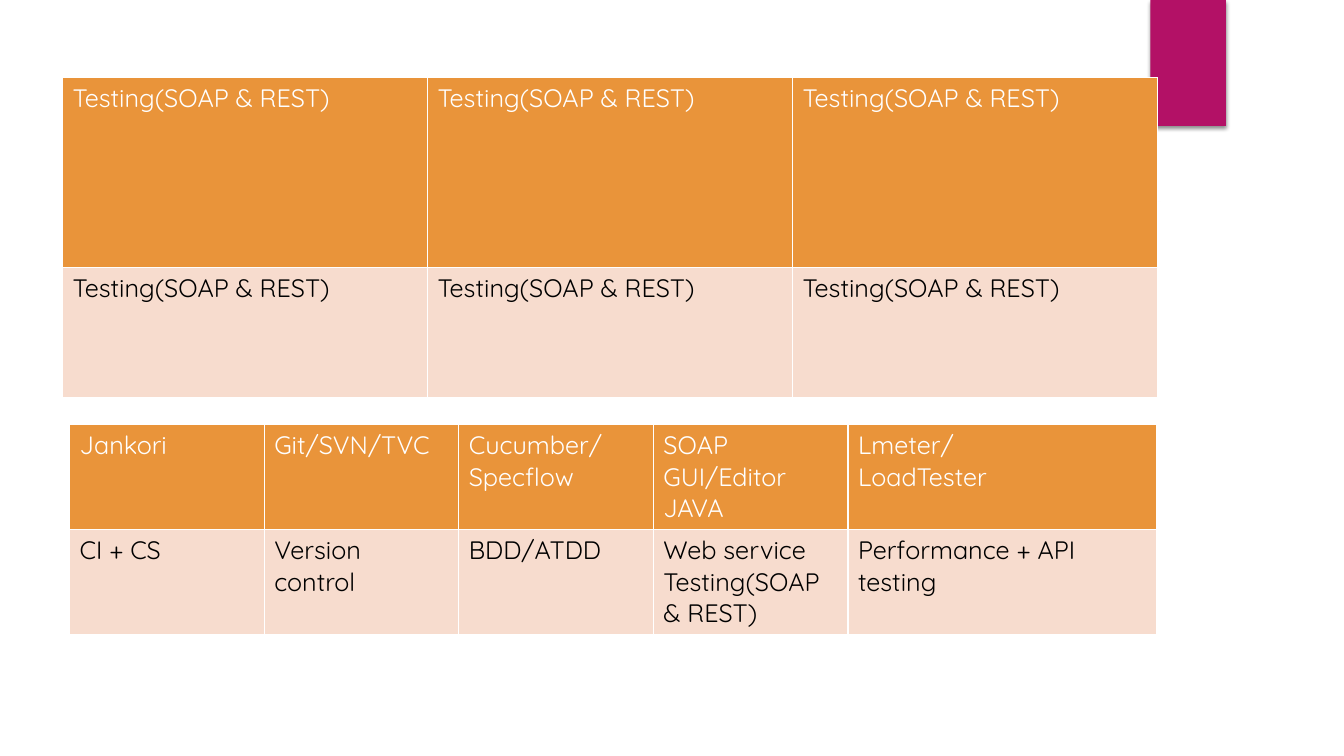
from dataclasses import dataclass

from lxml import etree
from pptx import Presentation
from pptx.dml.color import RGBColor
from pptx.enum.shapes import MSO_SHAPE
from pptx.oxml import parse_xml
from pptx.oxml.ns import nsdecls, qn
from pptx.slide import Slide
from pptx.util import Inches, Pt

OVAL = MSO_SHAPE.OVAL
RECTANGLE = MSO_SHAPE.RECTANGLE
BLANK_LAYOUT = 6
SLIDE_WIDTH, SLIDE_HEIGHT = 13.33, 7.5

Point = tuple[float, float]


@dataclass(frozen=True)
class Theme:
    font: str = "Quicksand"
    text_size: int = 18
    border_width: int = 1
    white: str = "FFFFFF"
    black: str = "000000"
    header: str = "E9943A"
    body: str = "F7DCCE"
    accent: str = "B31166"
    glow: str = "9B6BF2"


@dataclass(frozen=True)
class Glow:
    left: float
    top: float
    size: float
    stops: tuple[tuple[int, int], ...]  # position and opacity, in percent


@dataclass(frozen=True)
class Grid:
    left: float
    top: float
    column_widths: list[float]
    row_heights: list[float]
    rows: list[list[str]]


THEME = Theme()

GLOWS = [
    Glow(9.41, 1.83, 3.08, ((0, 7), (36, 6), (69, 0))),
    Glow(8.75, 0.01, 1.75, ((0, 14), (36, 7), (73, 0))),
]

FRAME_OUTER = [(0, 0), (0, SLIDE_HEIGHT), (SLIDE_WIDTH, SLIDE_HEIGHT), (SLIDE_WIDTH, 0)]
FRAME_INNER = [(12.81, 6.98), (0.52, 6.98), (0.52, 0.52), (12.81, 0.52)]
CURVED_PANEL = [
    (0.5, 2.04), (0.5, 7), (12.84, 7), (12.84, 2.04), (12, 2.17), (11.16, 2.27),
    (10.32, 2.35), (9.49, 2.41), (8.4, 2.46), (7.08, 2.48), (5.83, 2.46),
    (4.44, 2.41), (3.21, 2.33), (2.16, 2.24), (1.35, 2.15), (0.79, 2.08),
]

SERVICE_TESTING = "Testing(SOAP & REST)"
GRIDS = [
    Grid(0.62, 0.77, [3.62] * 3, [1.88, 1.29], [[SERVICE_TESTING] * 3] * 2),
    Grid(
        0.69, 4.21, [1.93] * 4 + [3.06], [1, 1],
        [
            ["Jankori", "Git/SVN/TVC", "Cucumber/Specflow",
             "SOAP GUI/Editor JAVA", "Lmeter/\nLoadTester"],
            ["CI + CS", "Version control", "BDD/ATDD",
             f"Web service\n{SERVICE_TESTING}", "Performance + API testing"],
        ],
    ),
]


def add_glow(slide: Slide, glow: Glow) -> None:
    """Draw a soft circle that fades out from its centre."""
    circle = slide.shapes.add_shape(
        OVAL, Inches(glow.left), Inches(glow.top), Inches(glow.size), Inches(glow.size))
    circle.line.fill.background()
    circle.shadow.inherit = False
    stops = "".join(
        f'<a:gs pos="{position * 1000}"><a:srgbClr val="{THEME.glow}">'
        f'<a:alpha val="{opacity * 1000}"/></a:srgbClr></a:gs>'
        for position, opacity in glow.stops)
    gradient = parse_xml(
        f'<a:gradFill {nsdecls("a")}><a:gsLst>{stops}</a:gsLst><a:path path="circle">'
        '<a:fillToRect l="50000" t="50000" r="50000" b="50000"/></a:path></a:gradFill>')
    circle._element.spPr.find(qn("a:prstGeom")).addnext(gradient)


def add_mask(slide: Slide, *outlines: list[Point]) -> None:
    """Draw a white area; a second outline cuts a hole in the first."""
    builder = slide.shapes.build_freeform(*outlines[0][0], scale=Inches(1))
    for index, outline in enumerate(outlines):
        if index:
            builder.move_to(*outline[0])
        builder.add_line_segments(outline[1:], close=True)
    mask = builder.convert_to_shape()
    mask.fill.solid()
    mask.fill.fore_color.rgb = RGBColor.from_string(THEME.white)
    mask.line.fill.background()
    mask.shadow.inherit = False


def add_ribbon(slide: Slide) -> None:
    ribbon = slide.shapes.add_shape(
        RECTANGLE, Inches(11.41), 0, Inches(0.75), Inches(1.25))
    ribbon.fill.solid()
    ribbon.fill.fore_color.rgb = RGBColor.from_string(THEME.accent)
    ribbon.line.fill.background()
    ribbon.shadow.inherit = False
    ribbon._element.spPr.find(qn("a:effectLst")).append(parse_xml(
        f'<a:outerShdw {nsdecls("a")} blurRad="{Pt(3)}" dist="{Pt(2)}" dir="5400000" '
        f'rotWithShape="0"><a:srgbClr val="{THEME.black}"><a:alpha val="45000"/>'
        '</a:srgbClr></a:outerShdw>'))


def add_borders(cell_properties: etree._Element) -> None:
    for index, side in enumerate("LRTB"):
        cell_properties.insert(index, parse_xml(
            f'<a:ln{side} {nsdecls("a")} w="{Pt(THEME.border_width)}"><a:solidFill>'
            f'<a:srgbClr val="{THEME.white}"/></a:solidFill></a:ln{side}>'))


def add_grid(slide: Slide, grid: Grid) -> None:
    table = slide.shapes.add_table(
        len(grid.rows), len(grid.column_widths), Inches(grid.left), Inches(grid.top),
        Inches(sum(grid.column_widths)), Inches(sum(grid.row_heights))).table
    for column, width in zip(table.columns, grid.column_widths):
        column.width = Inches(width)
    for row_index, (labels, height) in enumerate(zip(grid.rows, grid.row_heights)):
        table.rows[row_index].height = Inches(height)
        is_header = row_index == 0
        fill_color = THEME.header if is_header else THEME.body
        text_color = THEME.white if is_header else THEME.black
        for column_index, label in enumerate(labels):
            cell = table.cell(row_index, column_index)
            cell.fill.solid()
            cell.fill.fore_color.rgb = RGBColor.from_string(fill_color)
            add_borders(cell._tc.get_or_add_tcPr())
            cell.text_frame.text = label
            for paragraph in cell.text_frame.paragraphs:
                for run in paragraph.runs:
                    run.font.name = THEME.font
                    run.font.size = Pt(THEME.text_size)
                    run.font.bold = False
                    run.font.color.rgb = RGBColor.from_string(text_color)


def main() -> None:
    presentation = Presentation()
    presentation.slide_width = Inches(SLIDE_WIDTH)
    presentation.slide_height = Inches(SLIDE_HEIGHT)
    slide = presentation.slides.add_slide(presentation.slide_layouts[BLANK_LAYOUT])

    # Backdrop: glows, trimmed by the white panel and frame
    for glow in GLOWS:
        add_glow(slide, glow)
    add_mask(slide, CURVED_PANEL)
    add_mask(slide, FRAME_OUTER, FRAME_INNER)
    add_ribbon(slide)

    # Skills and tools
    for grid in GRIDS:
        add_grid(slide, grid)

    presentation.save("out.pptx")


if __name__ == "__main__":
    main()
